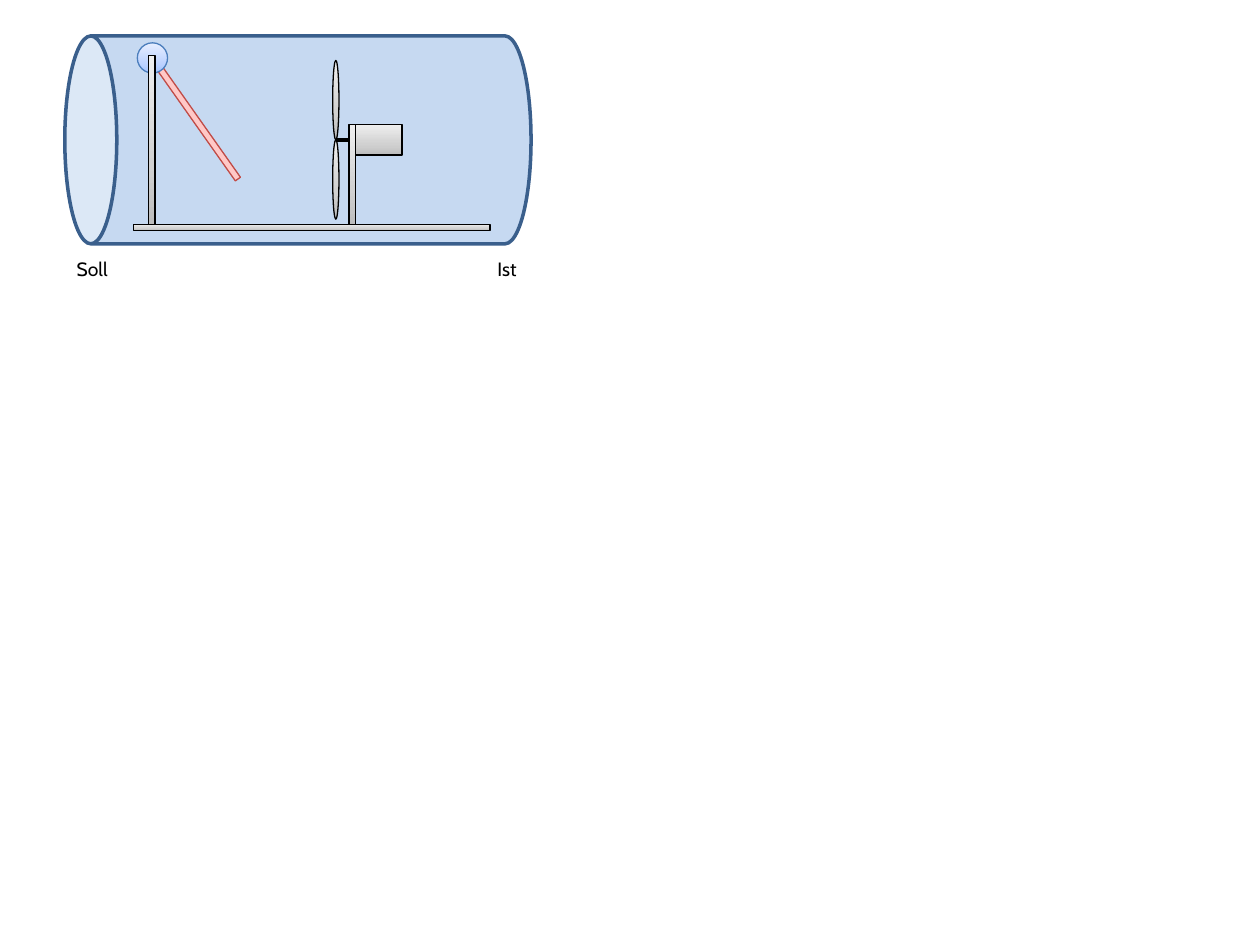
"""Build a slide showing a fan and a swinging flap inside a tube."""
from copy import deepcopy

from pptx import Presentation
from pptx.dml.color import RGBColor
from pptx.enum.shapes import MSO_CONNECTOR, MSO_SHAPE as Shape
from pptx.enum.text import MSO_AUTO_SIZE as AutoSize
from pptx.oxml.ns import qn
from pptx.oxml.xmlchemy import OxmlElement
from pptx.util import Inches, Pt

BLACK = RGBColor(0x00, 0x00, 0x00)
TUBE_FILL = RGBColor(0xC6, 0xD9, 0xF1)
TUBE_LINE = RGBColor(0x3A, 0x5F, 0x8C)
RED_LINE = RGBColor(0xBF, 0x4C, 0x48)
BLUE_LINE = RGBColor(0x4B, 0x7E, 0xBC)
GREYS = [RGBColor(0xBD, 0xBD, 0xBD), RGBColor(0xD1, 0xD1, 0xD1), RGBColor(0xEE, 0xEE, 0xEE)]
REDS = [RGBColor(0xFF, 0xA6, 0xA5), RGBColor(0xFF, 0xC0, 0xBF), RGBColor(0xFF, 0xE7, 0xE7)]
BLUES = [RGBColor(0xA4, 0xC4, 0xFF), RGBColor(0xBF, 0xD4, 0xFF), RGBColor(0xE6, 0xEE, 0xFF)]
STOPS = [0, 0.35, 1]


def add_part(shapes, kind, bounds, line_color, line_width, rotation=0):
    part = shapes.add_shape(kind, *[Inches(length) for length in bounds])
    part.rotation = rotation
    part.shadow.inherit = False
    part.line.color.rgb = line_color
    part.line.width = Pt(line_width)
    return part


def fill_gradient(part, colors):
    part.fill.gradient()
    part.fill.gradient_angle = 90
    stop_list = part._element.spPr.find(qn("a:gradFill")).find(qn("a:gsLst"))
    stop_list.append(deepcopy(stop_list[0]))
    for stop, position, color in zip(part.fill.gradient_stops, STOPS, colors):
        stop.position = position
        stop.color.rgb = color


deck = Presentation()
deck.slide_width = Inches(10)
deck.slide_height = Inches(7.5)
page = deck.slides.add_slide(deck.slide_layouts[6])
parts = page.shapes.add_group_shape().shapes

tube = add_part(parts, Shape.CAN, (1.54, -0.74, 1.65, 3.7), TUBE_LINE, 2, 270)
tube.fill.solid()
tube.fill.fore_color.rgb = TUBE_FILL

for blade_top in (0.48, 1.11):
    blade = add_part(parts, Shape.OVAL, (2.64, blade_top, 0.05, 0.63), BLACK, 0.75)
    fill_gradient(blade, GREYS)

axle = parts.add_connector(
    MSO_CONNECTOR.STRAIGHT, Inches(2.67), Inches(1.11), Inches(2.8), Inches(1.11))
axle.line.color.rgb = BLACK
axle.line.width = Pt(2.25)
axle._element.spPr.append(OxmlElement("a:effectLst"))

motor = (Shape.RECTANGLE, (2.8, 0.99, 0.39, 0.24), BLACK, GREYS, 0)
motor_post = (Shape.RECTANGLE, (2.77, 0.99, 0.05, 0.79), BLACK, GREYS, 0)
base = (Shape.RECTANGLE, (1.06, 1.78, 2.83, 0.05), BLACK, GREYS, 0)
flap = (Shape.RECTANGLE, (0.95, 0.91, 1.19, 0.05), RED_LINE, REDS, 234.8)
hinge = (Shape.OVAL, (1.09, 0.34, 0.24, 0.24), BLUE_LINE, BLUES, 0)
flap_post = (Shape.RECTANGLE, (1.18, 0.44, 0.05, 1.34), BLACK, GREYS, 0)
for kind, bounds, line_color, colors, rotation in (
        motor, motor_post, base, flap, hinge, flap_post):
    part = add_part(parts, kind, bounds, line_color, 0.75, rotation)
    fill_gradient(part, colors)

for text, left, width in (("Soll", 0.51, 0.45), ("Ist", 3.85, 0.36)):
    box = page.shapes.add_textbox(Inches(left), Inches(1.99), Inches(width), Inches(0.29))
    box.text_frame.word_wrap = False
    box.text_frame.auto_size = AutoSize.SHAPE_TO_FIT_TEXT
    para = box.text_frame.paragraphs[0]
    span = para.add_run()
    span.text = text
    span.font.name = "Cabin"
    span.font.size = Pt(11)
    span.font.color.rgb = BLACK

deck.save("out.pptx")
